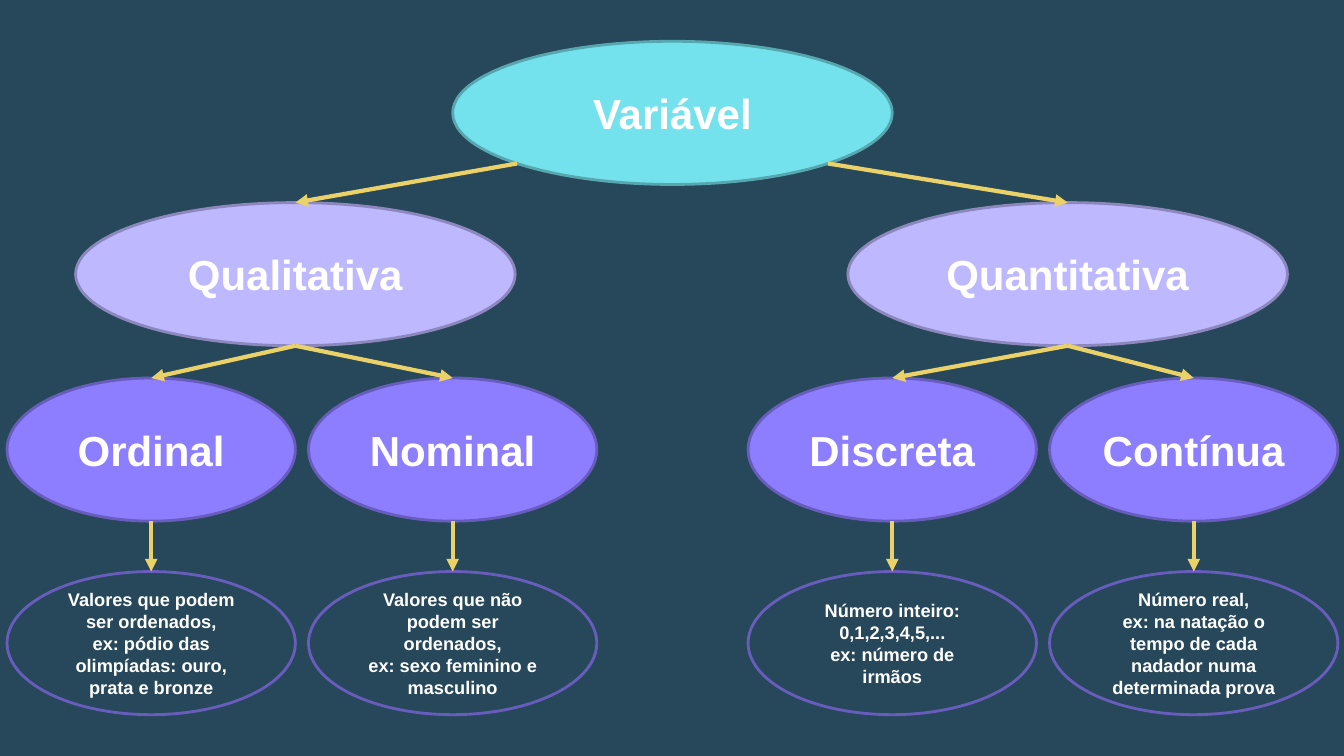
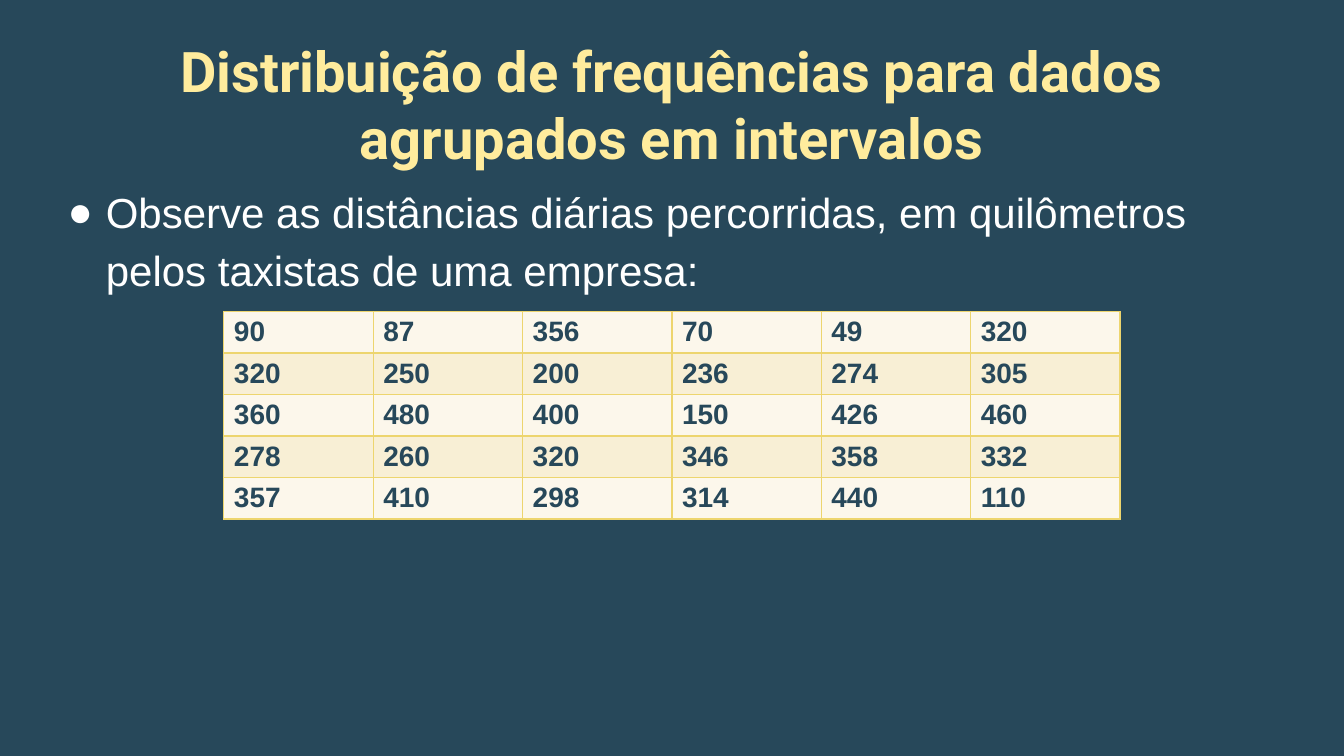
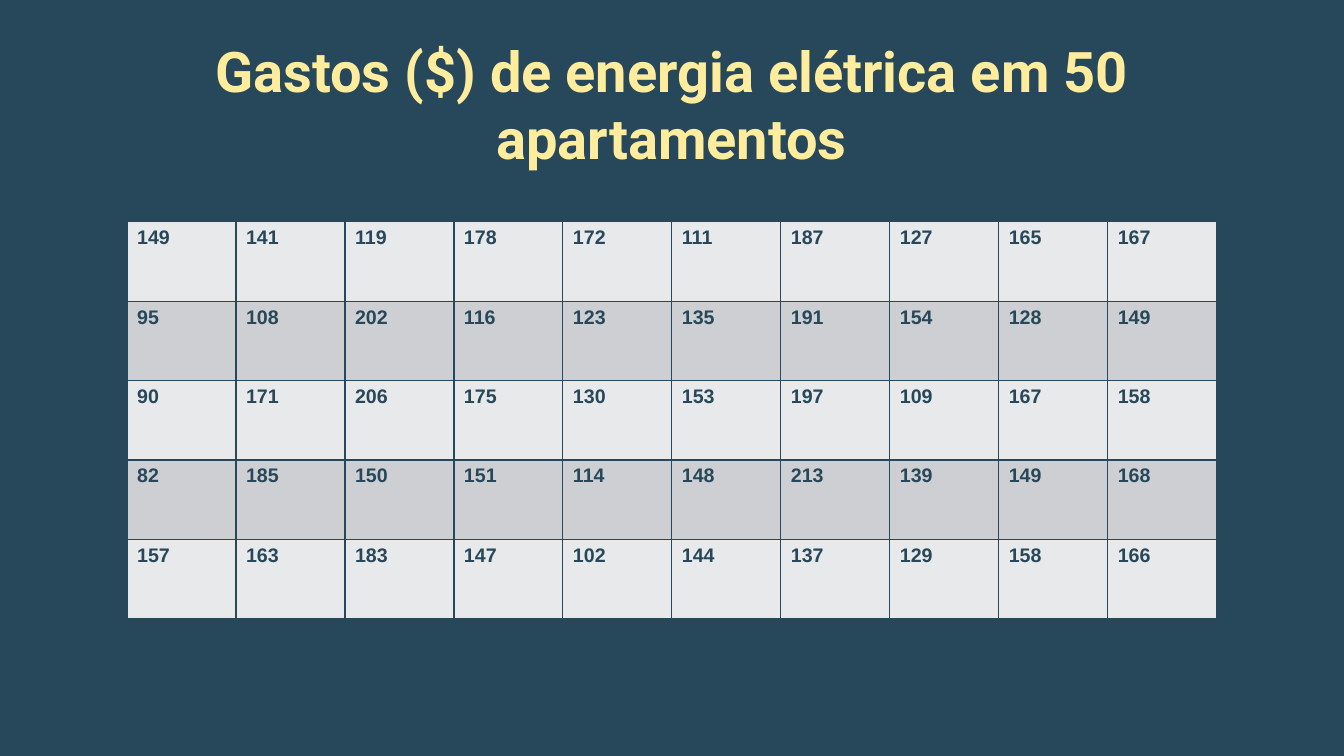
from math import sqrt
from lxml import etree
from pptx import Presentation
from pptx.dml.color import RGBColor
from pptx.enum.shapes import MSO_CONNECTOR, MSO_SHAPE
from pptx.enum.text import MSO_ANCHOR, MSO_AUTO_SIZE, PP_ALIGN
from pptx.oxml import parse_xml
from pptx.oxml.ns import nsdecls, qn
from pptx.util import Inches, Pt

NAVY, WHITE, CREAM, YELLOW = "27485A", "FFFFFF", "FFEC9D", "EBD268"


def rgb(hex_color):
    return RGBColor.from_string(hex_color)


def style_text(tf, size, color, bold=True, font="Arial", align=None):
    for p in tf.paragraphs:
        p.alignment = align
        for r in p.runs:
            r.font.name, r.font.size, r.font.bold = font, Pt(size), bold
            r.font.color.rgb = rgb(color)


prs = Presentation()
prs.slide_width, prs.slide_height = Inches(13.33), Inches(7.5)

# Shared background
fill = prs.slide_master.background.fill
fill.solid()
fill.fore_color.rgb = rgb(NAVY)

# Slide 1: tree of variable types
s = prs.slides.add_slide(prs.slide_layouts[6])
OVAL_H = 1.42
ROOT_TOP, KIND_TOP, TYPE_TOP, NOTE_TOP = 0.41, 2.01, 3.75, 5.67
ROOT_X, WIDE, NARROW = 6.67, 4.36, 2.86

kinds = [("Qualitativa", 2.93), ("Quantitativa", 10.59)]
types = [
    ("Ordinal", 1.5, 2.93,
     "Valores que podem ser ordenados,\nex: pódio das olimpíadas: ouro, prata e bronze"),
    ("Nominal", 4.49, 2.93,
     "Valores que não podem ser ordenados,\nex: sexo feminino e masculino"),
    ("Discreta", 8.85, 10.59,
     "Número inteiro: 0,1,2,3,4,5,...\nex: número de irmãos"),
    ("Contínua", 11.84, 10.59,
     "Número real,\nex: na natação o tempo de cada nadador numa determinada prova"),
]

ovals = [("Variável", ROOT_X, ROOT_TOP, WIDE, "74E2ED", "56A7AF", 30)]
ovals += [(name, x, KIND_TOP, WIDE, "BDB8FF", "8C88BD", 30) for name, x in kinds]
ovals += [(name, x, TYPE_TOP, NARROW, "8D7DFF", "685CBD", 30) for name, x, _, _ in types]
ovals += [(note, x, NOTE_TOP, NARROW, None, "685CBD", 13) for _, x, _, note in types]

for text, x, top, width, fill_color, line_color, size in ovals:
    sp = s.shapes.add_shape(MSO_SHAPE.OVAL, Inches(x - width / 2), Inches(top),
                            Inches(width), Inches(OVAL_H))
    sp.shadow.inherit = False
    if fill_color:
        sp.fill.solid()
        sp.fill.fore_color.rgb = rgb(fill_color)
    else:
        sp.fill.background()
    sp.line.color.rgb = rgb(line_color)
    sp.line.width = Pt(2)
    tf = sp.text_frame
    tf.word_wrap = True
    tf.vertical_anchor = MSO_ANCHOR.MIDDLE
    tf.text = text
    style_text(tf, size, WHITE, align=PP_ALIGN.CENTER)

# Arrows: the root's leave its outline at 45 degrees, the rest go bottom to top
root_dx = WIDE / 2 / sqrt(2)
root_y = ROOT_TOP + OVAL_H / 2 * (1 + 1 / sqrt(2))
arrows = [(ROOT_X + side * root_dx, root_y, x, KIND_TOP)
          for side, (_, x) in zip((-1, 1), kinds)]
arrows += [(kind_x, KIND_TOP + OVAL_H, x, TYPE_TOP) for _, x, kind_x, _ in types]
arrows += [(x, TYPE_TOP + OVAL_H, x, NOTE_TOP) for _, x, _, _ in types]

for points in arrows:
    arrow = s.shapes.add_connector(MSO_CONNECTOR.STRAIGHT, *map(Inches, points))
    arrow.line.color.rgb = rgb(YELLOW)
    arrow.line.width = Pt(3)
    etree.SubElement(arrow.line._get_or_add_ln(), qn("a:tailEnd"), type="triangle")
    etree.SubElement(arrow._element.spPr, qn("a:effectLst"))

# Slides 2 and 3: title, optional bullet, number table
distances = [
    [90, 87, 356, 70, 49, 320],
    [320, 250, 200, 236, 274, 305],
    [360, 480, 400, 150, 426, 460],
    [278, 260, 320, 346, 358, 332],
    [357, 410, 298, 314, 440, 110],
]
expenses = [
    [149, 141, 119, 178, 172, 111, 187, 127, 165, 167],
    [95, 108, 202, 116, 123, 135, 191, 154, 128, 149],
    [90, 171, 206, 175, 130, 153, 197, 109, 167, 158],
    [82, 185, 150, 151, 114, 148, 213, 139, 149, 168],
    [157, 163, 183, 147, 102, 144, 137, 129, 158, 166],
]
# title, bullet, rows, (left, top, width, height), text size, row fills, border
table_slides = [
    ("Distribuição de frequências para dados agrupados em intervalos",
     "Observe as distâncias diárias percorridas, em quilômetros pelos taxistas de uma empresa:",
     distances, (2.22, 3.09, 8.89, 2.06), 20, ("FCF7EB", "F8EFD5"), "EDD56E"),
    ("Gastos ($) de energia elétrica em 50 apartamentos", None,
     expenses, (1.26, 2.2, 10.81, 3.94), 14, ("E8E9EA", "CDCFD2"), NAVY),
]

for title, bullet, rows, box, size, fills, border in table_slides:
    s = prs.slides.add_slide(prs.slide_layouts[1 if bullet else 5])
    s.shapes.title.text_frame.text = title
    frames = [(s.shapes.title, 0.26, 0.84)]
    if bullet:
        body = s.placeholders[1]
        body.text_frame.text = bullet
        frames.append((body, 1.68, 4.98))

    # Placeholder frames
    for sp, top, height in frames:
        sp.left, sp.top, sp.width, sp.height = map(Inches, (0.45, top, 12.42, height))
        tf = sp.text_frame
        tf.word_wrap = True
        tf.auto_size = MSO_AUTO_SIZE.NONE
        tf.vertical_anchor = MSO_ANCHOR.TOP
        tf.margin_left = tf.margin_right = tf.margin_top = tf.margin_bottom = Inches(0.1)
    style_text(s.shapes.title.text_frame, 40, CREAM, font="Roboto", align=PP_ALIGN.CENTER)

    # Bullet
    if bullet:
        style_text(body.text_frame, 30, WHITE, bold=False)
        p = body.text_frame.paragraphs[0]
        p.line_spacing = 1.15
        p.space_before = Pt(0)
        pPr = p._p.get_or_add_pPr()
        pPr.set("marL", str(Inches(0.5)))
        pPr.set("indent", str(Inches(-0.38)))
        color = etree.SubElement(pPr, qn("a:buClr"))
        etree.SubElement(color, qn("a:srgbClr"), val=WHITE)
        etree.SubElement(pPr, qn("a:buFont"), typeface="Arial")
        etree.SubElement(pPr, qn("a:buChar"), char="●")

    # Table
    table = s.shapes.add_table(len(rows), len(rows[0]), *map(Inches, box)).table
    table.first_row = table.horz_banding = False
    for i, row in enumerate(rows):
        for j, value in enumerate(row):
            cell = table.cell(i, j)
            cell.text_frame.text = str(value)
            style_text(cell.text_frame, size, NAVY)
            cell.fill.solid()
            cell.fill.fore_color.rgb = rgb(fills[i % 2])
            tcPr = cell._tc.get_or_add_tcPr()
            for k, edge in enumerate("LRTB"):
                tcPr.insert(k, parse_xml(
                    f'<a:ln{edge} {nsdecls("a")} w="{Pt(1)}"><a:solidFill>'
                    f'<a:srgbClr val="{border}"/></a:solidFill></a:ln{edge}>'))

prs.save("out.pptx")
